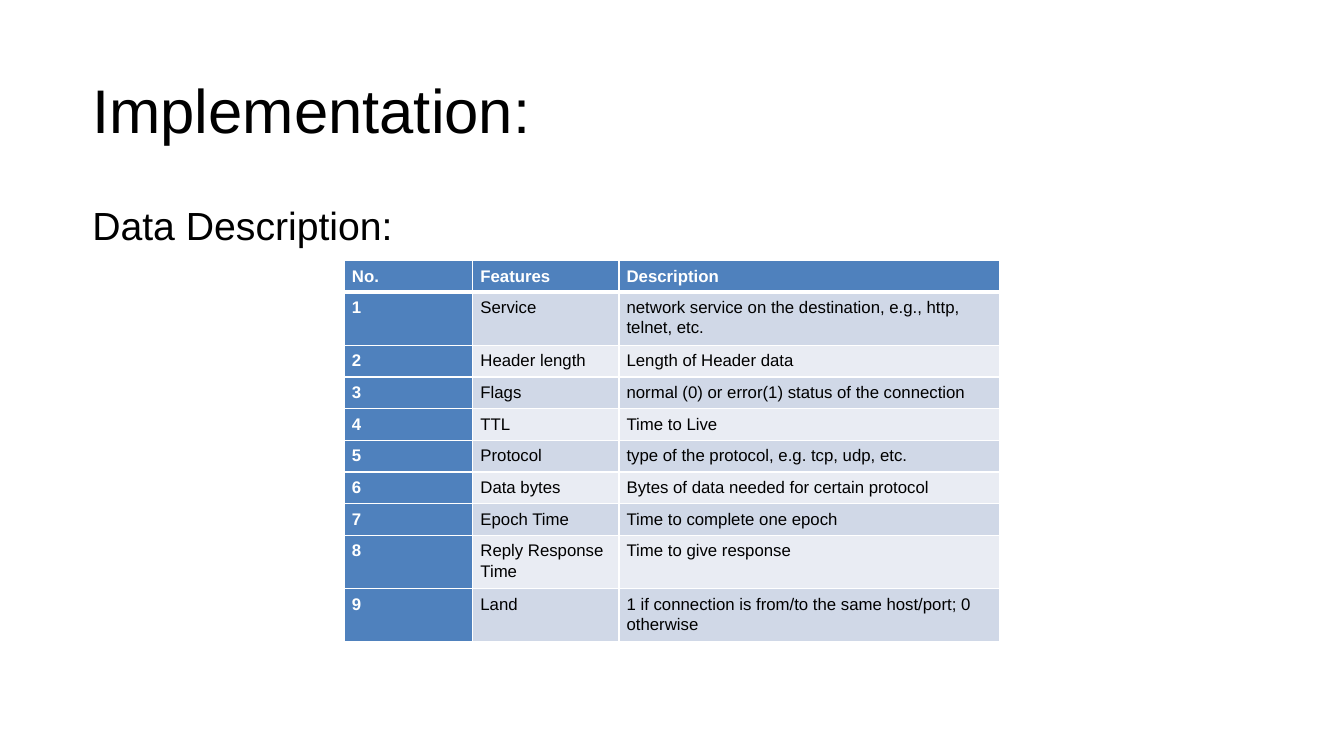
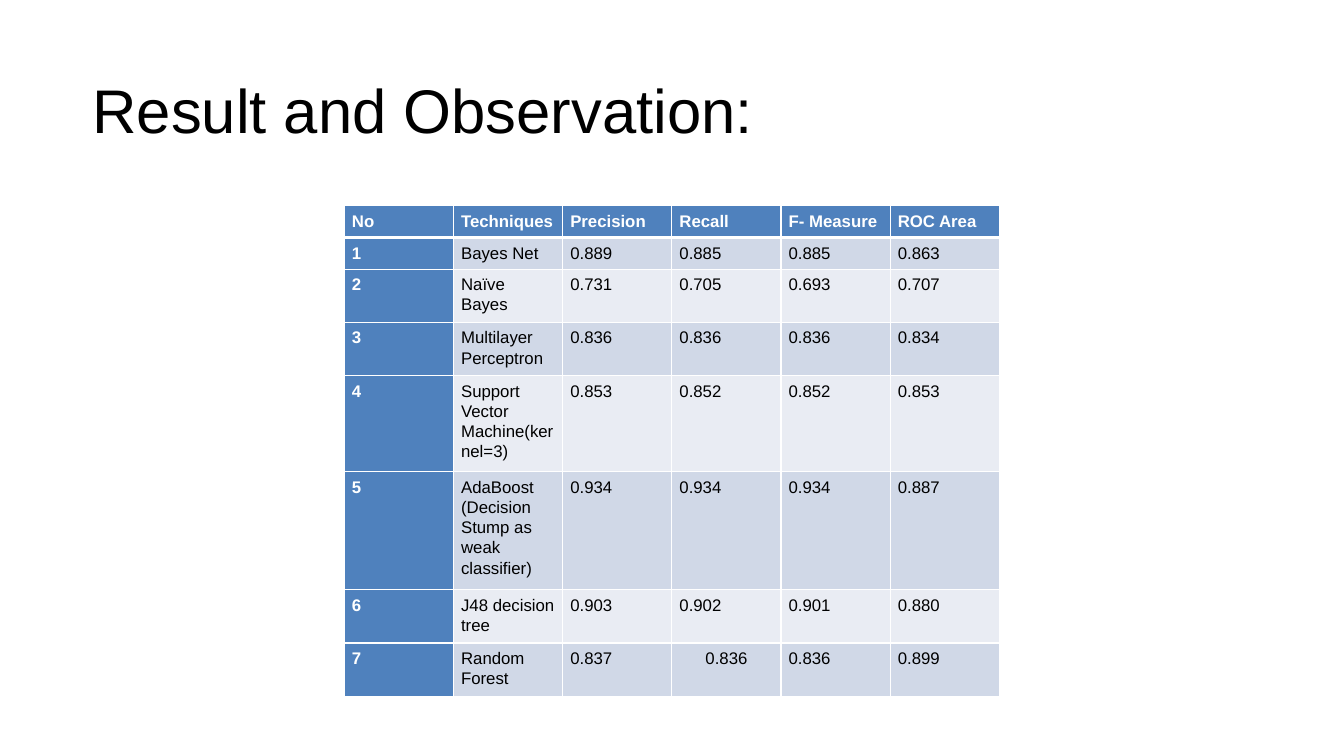
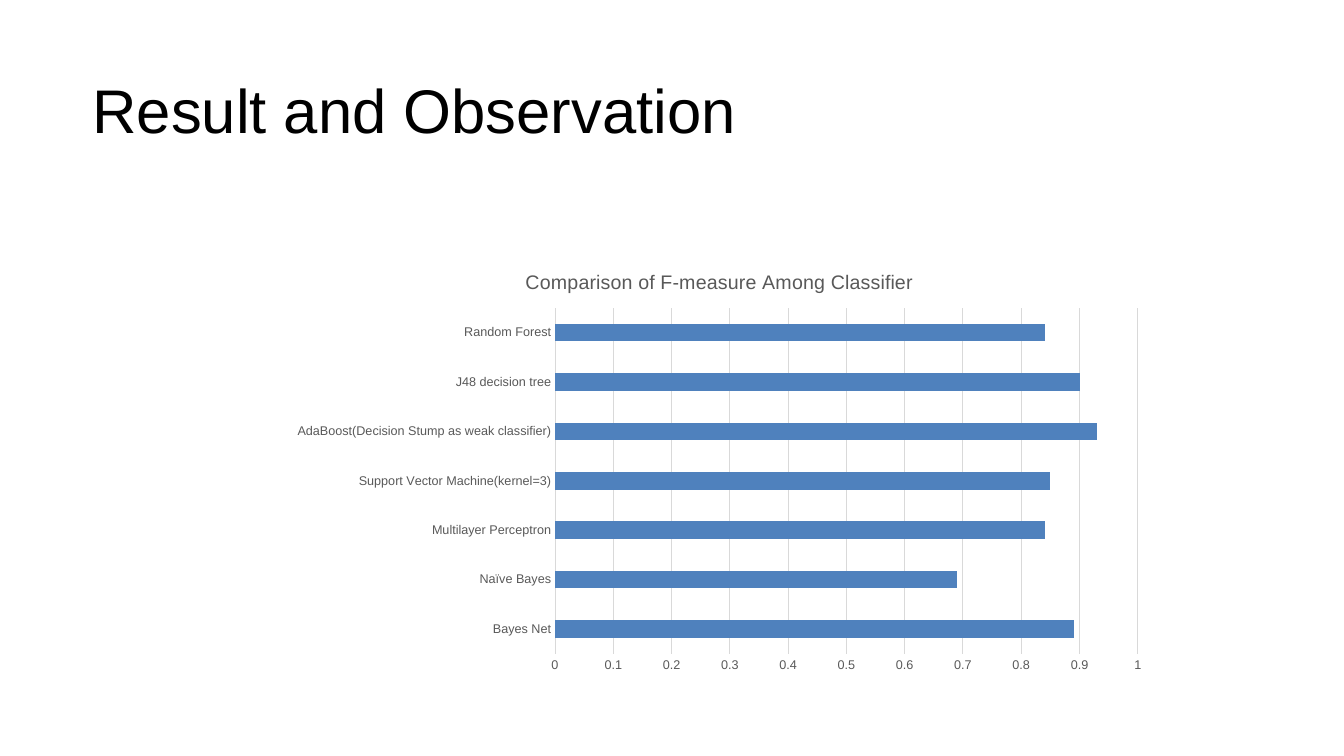
import pptx
import pptx.chart.data
import pptx.dml.color
import pptx.enum.chart
import pptx.enum.text
import pptx.oxml
import pptx.oxml.ns
import pptx.util
import lxml.etree as etree

RGB = pptx.dml.color.RGBColor
BLACK = RGB(0x00, 0x00, 0x00)
WHITE = RGB(0xFF, 0xFF, 0xFF)
BLUE = RGB(0x4F, 0x81, 0xBD)
BANDS = [RGB(0xD0, 0xD8, 0xE7), RGB(0xE9, 0xEC, 0xF3)]
GRAY = RGB(0x59, 0x59, 0x59)
PALE = RGB(0xD9, 0xD9, 0xD9)

# The grid has 160 columns and 90 rows of 6 points
COLS, ROWS, UNIT = 160, 90, 6
LEFT, WIDE = 11, 138

# Text formats
HEAD = {"size": 44, "color": BLACK}
BODY = {"size": 28, "color": BLACK}
KEY = {"size": 12, "color": WHITE, "bold": True}
CELL = {"size": 12, "color": BLACK, "bold": False}
NAME = {"size": 14, "color": GRAY, "bold": False}
TICK = {"size": 9, "color": GRAY}

FEATS = [
    ["No.", "Features", "Description"],
    ["1", "Service", "network service on the destination, e.g., http, telnet, etc."],
    ["2", "Header length", "Length of Header data"],
    ["3", "Flags", "normal (0) or error(1) status of the connection"],
    ["4", "TTL", "Time to Live"],
    ["5", "Protocol", "type of the protocol, e.g. tcp, udp, etc."],
    ["6", "Data bytes", "Bytes of data needed for certain protocol"],
    ["7", "Epoch Time", "Time to complete one epoch"],
    ["8", "Reply Response Time", "Time to give response"],
    ["9", "Land", "1 if connection is from/to the same host/port; 0 otherwise"],
]
SCORES = [
    ["No", "Techniques", "Precision", "Recall", "F- Measure", "ROC Area"],
    ["1", "Bayes Net", "0.889", "0.885", "0.885", "0.863"],
    ["2", "Naïve Bayes", "0.731", "0.705", "0.693", "0.707"],
    ["3", "Multilayer Perceptron", "0.836", "0.836", "0.836", "0.834"],
    ["4", "Support Vector Machine(kernel=3)", "0.853", "0.852", "0.852", "0.853"],
    ["5", "AdaBoost\n(Decision Stump as weak classifier)", "0.934", "0.934", "0.934", "0.887"],
    ["6", "J48 decision tree", "0.903", "0.902", "0.901", "0.880"],
    ["7", "Random Forest", "0.837", "0.836", "0.836", "0.899"],
]
# F-measure of each technique, as charted
MARKS = [0.89, 0.69, 0.84, 0.85, 0.93, 0.9, 0.84]


def grid(*cells):
    return [pptx.util.Pt(cell * UNIT) for cell in cells]


class Deck:
    def __init__(self):
        self.show = pptx.Presentation()
        self.show.slide_width, self.show.slide_height = grid(COLS, ROWS)

    def style(self, font, form):
        for key, val in {"name": "Arial", **form}.items():
            if key == "color":
                font.color.rgb = val
            else:
                setattr(font, key, pptx.util.Pt(val) if key == "size" else val)

    def slide(self, title):
        self.page = self.show.slides.add_slide(self.show.slide_layouts[6])
        self.text(title, 4.8, 17.4, HEAD, "MIDDLE", 0.9)

    def text(self, words, top, high, form, anchor="TOP", space=1.0):
        frame = self.page.shapes.add_textbox(*grid(LEFT, top, WIDE, high)).text_frame
        look = {"margin_left": 0, "margin_right": 0, "margin_top": 0,
                "margin_bottom": 0, "word_wrap": True,
                "vertical_anchor": pptx.enum.text.MSO_ANCHOR[anchor]}
        for key, val in look.items():
            setattr(frame, key, val)
        para = frame.paragraphs[0]
        para.line_spacing = space
        run = para.add_run()
        run.text = words
        self.style(run.font, form)

    def edges(self, cell, row):
        # Thin white rules, with a thick one under the header
        props = cell._tc.get_or_add_tcPr()
        wide = {"L": 0.96, "R": 0.96, "T": 3 if row == 1 else 0.96,
                "B": 3 if row == 0 else 0.96}
        for spot, (side, size) in enumerate(wide.items()):
            line = etree.fromstring(
                f'<a:ln{side} {pptx.oxml.ns.nsdecls("a")} w="{pptx.util.Pt(size)}">'
                f'<a:solidFill><a:srgbClr val="{WHITE}"/></a:solidFill></a:ln{side}>',
                pptx.oxml.oxml_parser)
            props.insert(spot, line)

    def table(self, data, top, high, widths):
        box = grid(41, top, sum(widths), high)
        shape = self.page.shapes.add_table(len(data), len(widths), *box)
        table = shape.table
        for col, wide in zip(table.columns, grid(*widths)):
            col.width = wide
        # Rows grow to fit their text
        for row in table.rows:
            row.height = 0
        shape.height = box[3]
        for y, words in enumerate(data):
            for x, word in enumerate(words):
                cell = table.cell(y, x)
                cell.text = word
                cell.margin_left = cell.margin_right = pptx.util.Pt(5.4)
                cell.margin_top = cell.margin_bottom = pptx.util.Pt(3.6)
                lead = y == 0 or x == 0
                cell.fill.solid()
                cell.fill.fore_color.rgb = BLUE if lead else BANDS[(y - 1) % 2]
                for para in cell.text_frame.paragraphs:
                    para.line_spacing = 1.07
                    for run in para.runs:
                        self.style(run.font, KEY if lead else CELL)
                self.edges(cell, y)
        return table

    def chart(self, title, names, vals, box):
        data = pptx.chart.data.CategoryChartData()
        data.categories = names
        data.add_series("Series 1", vals)
        kind = pptx.enum.chart.XL_CHART_TYPE.BAR_CLUSTERED
        chart = self.page.shapes.add_chart(kind, *grid(*box), data).chart
        self.style(chart.font, {"size": 10, "color": BLACK})
        chart.has_legend = False
        chart.has_title = True
        chart.chart_title.include_in_layout = False
        run = chart.chart_title.text_frame.paragraphs[0].add_run()
        run.text = title
        self.style(run.font, NAME)
        # Bars
        plot = chart.plots[0]
        plot.gap_width = 182
        plot.vary_by_categories = False
        fill = plot.series[0].format.fill
        fill.solid()
        fill.fore_color.rgb = BLUE
        # Axes
        cat, val = chart.category_axis, chart.value_axis
        for axis in (cat, val):
            axis.major_tick_mark = pptx.enum.chart.XL_TICK_MARK.NONE
            axis.minor_tick_mark = pptx.enum.chart.XL_TICK_MARK.NONE
            self.style(axis.tick_labels.font, TICK)
        val.minimum_scale, val.maximum_scale, val.major_unit = 0, 1, 0.1
        val.tick_labels.number_format = "General"
        val.tick_labels.number_format_is_linked = False
        val.has_major_gridlines = True
        val.format.line.fill.background()
        for line in (cat.format.line, val.major_gridlines.format.line):
            line.color.rgb = PALE
            line.width = pptx.util.Pt(0.75)


def main():
    deck = Deck()

    # Data description
    deck.slide("Implementation:")
    deck.text("Data Description:", 24, 57.1, BODY)
    deck.table(FEATS, 31, 43.6, [15.3, 17.4, 45.3])

    # Scores of each technique
    deck.slide("Result and Observation:")
    table = deck.table(SCORES, 24.5, 56.9, [13] * 6)
    para = table.cell(7, 3).text_frame.paragraphs[0]
    para.alignment = pptx.enum.text.PP_ALIGN.CENTER

    # F-measure chart, named after the score table
    deck.slide("Result and Observation")
    names = [row[1].replace("\n", "") for row in SCORES[1:]]
    deck.chart("Comparison of F-measure Among Classifier", names, MARKS,
               [33.33, 29.97, 104.64, 51.1])

    deck.show.save("out.pptx")


if __name__ == "__main__":
    main()
